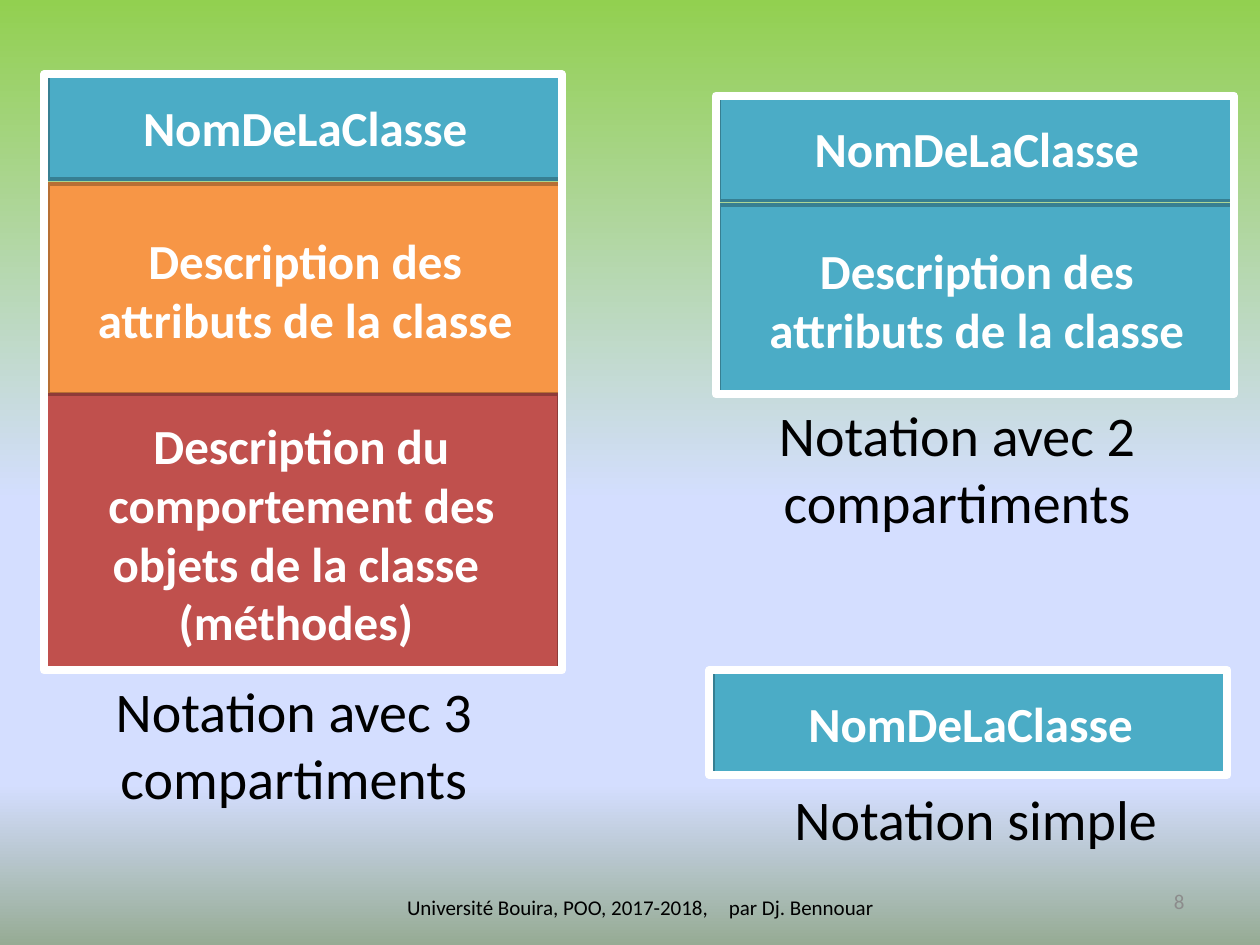
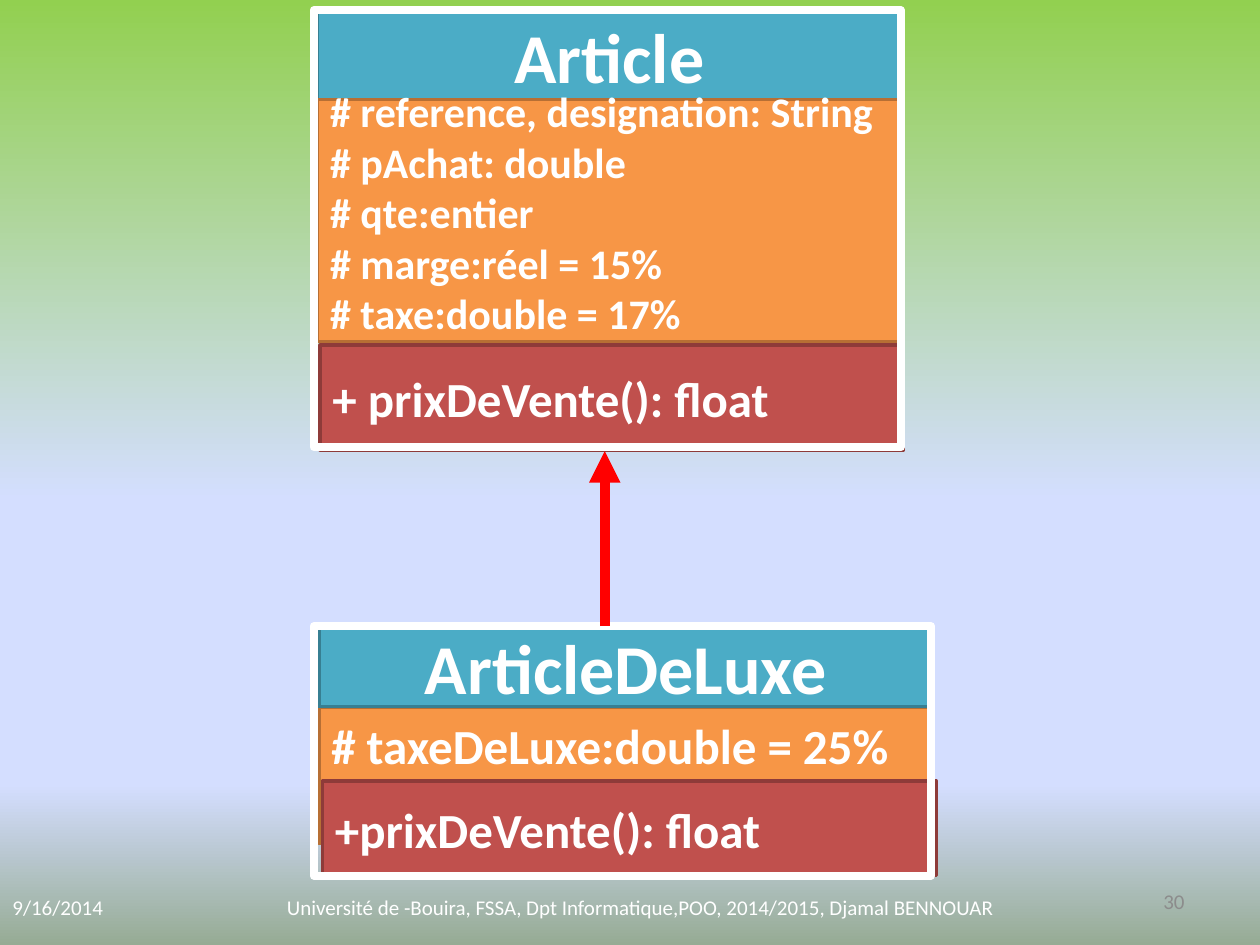
from dataclasses import dataclass

from lxml.etree import SubElement
from pptx import Presentation
from pptx.dml.color import RGBColor
from pptx.enum.shapes import MSO_CONNECTOR, MSO_SHAPE
from pptx.enum.text import MSO_ANCHOR, PP_ALIGN
from pptx.oxml.ns import qn
from pptx.util import Pt

FONT = "Calibri"
WHITE = RGBColor(0xFF, 0xFF, 0xFF)
BLACK = RGBColor(0, 0, 0)
GREY = RGBColor(0x8C, 0x8C, 0x8C)
RED = RGBColor(0xFF, 0, 0)
# Fill and outline of each kind of compartment
TEAL = (RGBColor(0x4B, 0xAC, 0xC6), RGBColor(0x37, 0x7F, 0x92))
ORANGE = (RGBColor(0xF7, 0x96, 0x46), RGBColor(0xB7, 0x6F, 0x34))
BRICK = (RGBColor(0xC0, 0x50, 0x4D), RGBColor(0x8E, 0x3B, 0x39))
BACKDROP = [(0, "92D050"), (53, "D4DEFF"), (83, "D4DEFF"), (100, "96AB94")]


@dataclass
class Compartment:
    text: str
    top: float            # below the top of the frame
    height: float
    colors: tuple
    size: float = 28
    align: PP_ALIGN = PP_ALIGN.CENTER
    inset: float = 2.2    # right of the left side of the frame
    lift: float = 0       # extra bottom margin, raises the text


def set_backdrop(master):
    fill = master.background.fill
    fill.gradient()
    fill.gradient_angle = 270
    stops = master.element.find(".//" + qn("a:gsLst"))
    for gs in list(stops):
        stops.remove(gs)
    for percent, color in BACKDROP:
        gs = SubElement(stops, qn("a:gs"), pos=str(percent * 1000))
        SubElement(gs, qn("a:srgbClr"), val=color)


def write(sp, text, size, color, align, bold=False, anchor=MSO_ANCHOR.MIDDLE):
    tf = sp.text_frame
    tf.text = text
    tf.word_wrap = True
    tf.vertical_anchor = anchor
    for p in tf.paragraphs:
        p.alignment = align
        for r in p.runs:
            r.font.name, r.font.size, r.font.bold = FONT, Pt(size), bold
            r.font.color.rgb = color
    return tf


def add_text(slide, box, text, size, color, align, anchor=MSO_ANCHOR.MIDDLE):
    sp = slide.shapes.add_textbox(*map(Pt, box))
    return write(sp, text, size, color, align, anchor=anchor)


def add_rect(shapes, box, line, width):
    sp = shapes.add_shape(MSO_SHAPE.RECTANGLE, *map(Pt, box))
    sp.shadow.inherit = False
    sp.line.color.rgb = line
    sp.line.width = Pt(width)
    return sp


def class_box(slide, box, compartments):
    """A class: filled compartments under one white frame."""
    left, top, width, _ = box
    shapes = slide.shapes.add_group_shape().shapes
    for c in compartments:
        fill, line = c.colors
        sp = add_rect(shapes, (left + c.inset, top + c.top, width - 2, c.height), line, 2)
        sp.fill.solid()
        sp.fill.fore_color.rgb = fill
        tf = write(sp, c.text, c.size, WHITE, c.align, bold=True)
        tf.margin_bottom = Pt(3.6 + c.lift)
    add_rect(shapes, box, WHITE, 4.5).fill.background()


def caption(slide, box, text):
    """Large centred label with a soft shadow behind the letters."""
    tf = add_text(slide, box, text, 32, BLACK, PP_ALIGN.CENTER, MSO_ANCHOR.TOP)
    for r in tf.paragraphs[0].runs:
        effects = r.font.fill and r._r.get_or_add_rPr().makeelement(qn("a:effectLst"))
        shadow = SubElement(effects, qn("a:outerShdw"), blurRad="38100",
                            dist="38100", dir="2700000", algn="tl")
        color = SubElement(shadow, qn("a:srgbClr"), val="000000")
        SubElement(color, qn("a:alpha"), val="43000")
        r._r.rPr.find(qn("a:solidFill")).addnext(effects)


def footer(slide, text, number, color, date=None):
    if date:
        add_text(slide, (0, 504, 90, 28.8), date, 12, color, PP_ALIGN.LEFT)
    add_text(slide, (78, 504, 576, 28.8), text, 12, color, PP_ALIGN.CENTER)
    add_text(slide, (516, 500.4, 168, 28.8), number, 12, GREY, PP_ALIGN.RIGHT)


def inheritance_arrow(slide, x, start, end):
    cx = slide.shapes.add_connector(MSO_CONNECTOR.STRAIGHT, Pt(x), Pt(start), Pt(x), Pt(end))
    cx.line.color.rgb = RED
    cx.line.width = Pt(6)
    SubElement(cx.line._get_or_add_ln(), qn("a:tailEnd"), type="triangle")
    SubElement(cx._element.spPr, qn("a:effectLst"))


def notation_slide(slide):
    footer(slide, "Université Bouira, POO, 2017-2018,\u2003par Dj. Bennouar", "8", BLACK)
    name = Compartment("NomDeLaClasse", 0, 59.8, TEAL)
    attributes = "Description des attributs de la classe"
    methods = "Description du comportement des objets de la classe \n(méthodes) "

    # Three compartments
    class_box(slide, (25.2, 42.5, 296, 340.6), [
        name,
        Compartment(attributes, 62.6, 120.2, ORANGE),
        Compartment(methods, 182.9, 158.4, BRICK, inset=0),
    ])
    caption(slide, (20, 383, 296, 85), "Notation avec 3 compartiments")

    # Two compartments
    class_box(slide, (409, 54.7, 296, 170.6),
              [name, Compartment(attributes, 62.6, 108, TEAL)])
    caption(slide, (399, 225.4, 296, 85), "Notation avec 2 compartiments")

    # Name only
    class_box(slide, (405.4, 383, 296, 59.8), [name])
    caption(slide, (409.7, 445, 296, 46), "Notation simple")


def inheritance_slide(slide):
    footer(slide, "Université de -Bouira, FSSA, Dpt Informatique,POO, 2014/2015, Djamal BENNOUAR",
           "30", WHITE, date="9/16/2014")
    left = PP_ALIGN.LEFT
    fields = ["reference, designation: String", "pAchat: double", "qte:entier",
              "marge:réel = 15%", "taxe:double = 17%"]

    # Subclass
    class_box(slide, (179.3, 357.8, 352.8, 142.6), [
        Compartment("# taxeDeLuxe:double = 25%", 46.1, 77.8, ORANGE, 28, left, 2.9, 34),
        Compartment("+prixDeVente(): float", 88.6, 54, BRICK, 28, left, 5),
        Compartment("ArticleDeLuxe", 0, 46.1, TEAL, 40, inset=2.9),
    ])
    # Base class
    class_box(slide, (179.3, 5.8, 335.5, 249.8), [
        Compartment("+ prixDeVente(): float", 191.5, 59.8, BRICK, 28, left, 3.6),
        Compartment("Article", 0, 51.8, TEAL, 40),
        Compartment("\n".join("# " + f for f in fields), 51.1, 138.2, ORANGE, 24, left,
                    lift=9.8),
    ])
    inheritance_arrow(slide, 345.6, 357.8, 257.8)


prs = Presentation()
prs.slide_width, prs.slide_height = Pt(720), Pt(540)
set_backdrop(prs.slide_master)
for build in (notation_slide, inheritance_slide):
    build(prs.slides.add_slide(prs.slide_layouts[6]))
prs.save("out.pptx")
